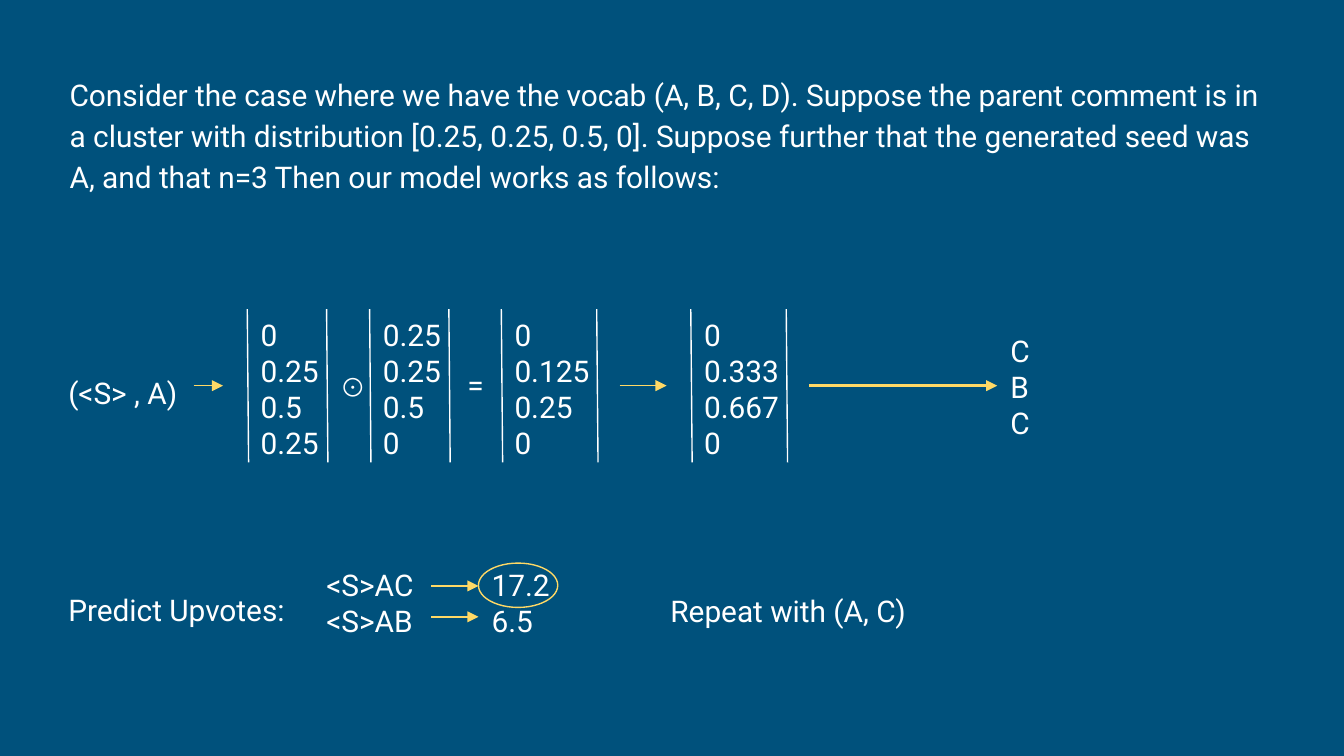
from lxml import etree
from pptx import Presentation
from pptx.dml.color import RGBColor
from pptx.enum.shapes import MSO_CONNECTOR, MSO_SHAPE
from pptx.enum.text import MSO_ANCHOR
from pptx.oxml.ns import qn
from pptx.util import Inches, Pt

STRAIGHT = MSO_CONNECTOR.STRAIGHT
ELLIPSE = MSO_SHAPE.OVAL
TOP, MIDDLE = MSO_ANCHOR.TOP, MSO_ANCHOR.MIDDLE
NAVY, WHITE, YELLOW = "00517C", "FFFFFF", "FFD966"


def rgb(color):
    return RGBColor.from_string(color)


def add_text(slide, text, x, y, w, h, size=16, font="Roboto", color=WHITE,
             anchor=TOP, spacing=1.0, after=0):
    """Each line of the text becomes a paragraph."""
    box = slide.shapes.add_textbox(Inches(x), Inches(y), Inches(w), Inches(h))
    tf = box.text_frame
    tf.word_wrap = True
    tf.vertical_anchor = anchor
    tf.margin_left = tf.margin_right = Inches(0.1)
    tf.margin_top = tf.margin_bottom = Inches(0.1)
    for i, line in enumerate(text.split("\n")):
        p = tf.paragraphs[0] if i == 0 else tf.add_paragraph()
        p.line_spacing = spacing
        p.space_after = Pt(after)
        r = p.add_run()
        r.text = line
        r.font.size = Pt(size)
        r.font.name = font
        r.font.color.rgb = rgb(color)


def add_prose(slide, text, x, y, w, h):
    add_text(slide, text, x, y, w, h, spacing=1.15, after=10)


def add_line(slide, x1, y1, x2, y2, color=WHITE, width=0.75, arrow=False):
    line = slide.shapes.add_connector(
        STRAIGHT, Inches(x1), Inches(y1), Inches(x2), Inches(y2))
    line.line.color.rgb = rgb(color)
    line.line.width = Pt(width)
    sp_pr = line._element.spPr
    if arrow:
        etree.SubElement(sp_pr.find(qn("a:ln")), qn("a:tailEnd"),
                         type="triangle", w="med", len="med")
    etree.SubElement(sp_pr, qn("a:effectLst"))


def add_arrow(slide, x1, x2, y, width=0.75):
    add_line(slide, x1, y, x2, y, YELLOW, width, arrow=True)


def add_vector(slide, values, x, y, w, bar_gap):
    """Column of values between two slightly slanted bars."""
    add_text(slide, "\n".join(values), x, y, w, 1.23)
    for bar_x in (x, x + bar_gap):
        add_line(slide, bar_x, y + 0.04, bar_x + 0.01, y + 1.18)


def add_model_row(slide, x, y):
    """Seed, element-wise product, normalised vector and sampled words."""
    add_prose(slide, "(<S> , A)", x, y + 0.39, 1.04, 0.45)
    vectors = [
        (1.43, 0.68, 0.59, ["0", "0.25", "0.5", "0.25"]),
        (2.34, 0.68, 0.59, ["0.25", "0.25", "0.5", "0"]),
        (3.32, 0.88, 0.71, ["0", "0.125", "0.25", "0"]),
        (4.73, 0.88, 0.71, ["0", "0.333", "0.667", "0"]),
    ]
    for dx, w, bar_gap, values in vectors:
        add_vector(slide, values, x + dx, y, w, bar_gap)
    add_text(slide, "⊙", x + 2.02, y + 0.45, 0.32, 0.33,
             size=14, font="Arial", anchor=MIDDLE)
    add_text(slide, "=", x + 2.97, y + 0.32, 0.32, 0.57, anchor=MIDDLE)
    add_text(slide, "C\nB\nC", x + 7.01, y, 0.35, 1.23, anchor=MIDDLE)
    for start, end, width in [(1.03, 1.25, 0.75), (4.2, 4.55, 0.75),
                              (5.61, 7.01, 1.5)]:
        add_arrow(slide, x + start, x + end, y + 0.61, width)


def add_prediction_row(slide, x, y):
    """Candidate phrases with scores, the best one circled."""
    add_prose(slide, "Predict Upvotes:", x, y + 0.39, 1.93, 0.45)
    for dx, text in [(1.92, "<S>AC\n<S>AB"), (3.15, "17.2\n6.5")]:
        add_text(slide, text, x + dx, y, 0.88, 1.23, anchor=MIDDLE)
    for dy in (0.49, 0.72):
        add_arrow(slide, x + 2.8, x + 3.15, y + dy)
    ring = slide.shapes.add_shape(ELLIPSE, Inches(x + 3.15), Inches(y + 0.32),
                                  Inches(0.59), Inches(0.33))
    ring.shadow.inherit = False
    ring.fill.background()
    ring.line.color.rgb = rgb(YELLOW)
    ring.line.width = Pt(0.75)
    add_prose(slide, "Repeat with (A, C)", x + 4.48, y + 0.4, 2.3, 0.45)


def main():
    prs = Presentation()
    prs.slide_width = Inches(10)
    prs.slide_height = Inches(10) * 9 // 16
    slide = prs.slides.add_slide(prs.slide_layouts[6])
    fill = slide.background.fill
    fill.solid()
    fill.fore_color.rgb = rgb(NAVY)

    add_prose(slide, "Consider the case where we have the vocab (A, B, C, D). "
              "Suppose the parent comment is in a cluster with distribution "
              "[0.25, 0.25, 0.5, 0]. Suppose further that the generated seed "
              "was A, and that n=3 Then our model works as follows:",
              0.42, 0.43, 9.17, 1.05)
    add_model_row(slide, 0.41, 2.26)
    add_prediction_row(slide, 0.41, 3.87)
    prs.save("out.pptx")


if __name__ == "__main__":
    main()
